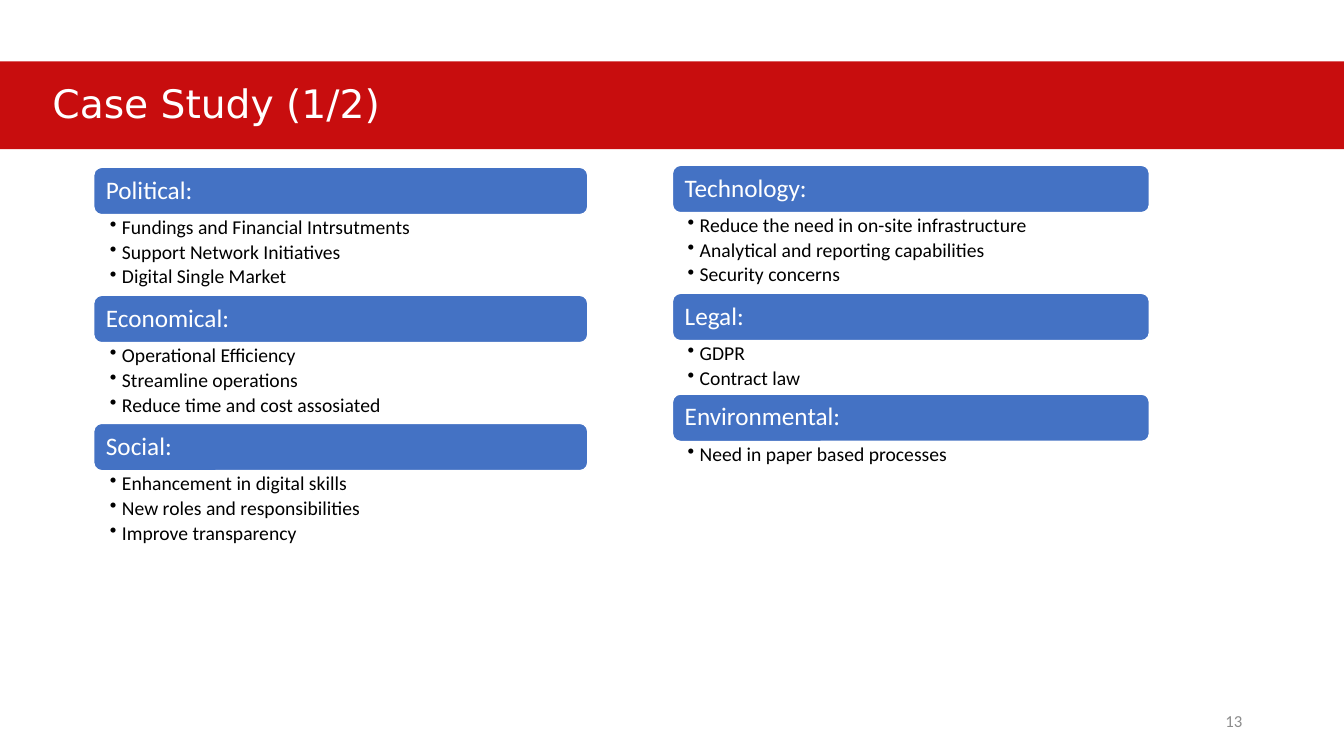
import dataclasses
import typing

import lxml.etree
import pptx
import pptx.dml.color
import pptx.enum.shapes
import pptx.enum.text
import pptx.oxml.ns
import pptx.util

SCALE = 9144
HEAD = 47
LISTS = {1: 33, 2: 53, 3: 80}
SHAPE = pptx.enum.shapes.MSO_SHAPE
ALIGN = pptx.enum.text.PP_ALIGN
ANCHOR = pptx.enum.text.MSO_ANCHOR
FIT = pptx.enum.text.MSO_AUTO_SIZE


@dataclasses.dataclass
class Topic:
    name: str
    items: list[str]


@dataclasses.dataclass
class Column:
    left: int
    top: int
    width: int
    inset: int
    topics: list[Topic]


COLUMNS = [
    Column(93, 166, 490, 16, [
        Topic("Political:", ["Fundings and Financial Intrsutments",
                             "Support Network Initiatives", "Digital Single Market"]),
        Topic("Economical:", ["Operational Efficiency", "Streamline operations",
                              "Reduce time and cost assosiated"]),
        Topic("Social:", ["Enhancement in digital skills",
                          "New roles and responsibilities", "Improve transparency"]),
    ]),
    Column(667, 164, 473, 15, [
        Topic("Technology:", ["Reduce the need in on-site infrastructure",
                              "Analytical and reporting capabilities", "Security concerns"]),
        Topic("Legal:", ["GDPR", "Contract law"]),
        Topic("Environmental:", ["Need in paper based processes"]),
    ]),
]


def px(num: int) -> pptx.util.Emu:
    return pptx.util.Emu(num * SCALE)


def tint(code: str) -> pptx.dml.color.RGBColor:
    return pptx.dml.color.RGBColor.from_string(code)


def apply(item: typing.Any, values: dict[str, typing.Any]) -> None:
    for name, value in values.items():
        setattr(item, name, value)


def style(para: typing.Any, size: int, code: str, face: str = "Calibri",
          **values: typing.Any) -> None:
    apply(para, values)
    apply(para.font, {"size": pptx.util.Pt(size), "name": face})
    para.font.color.rgb = tint(code)


def frame(shape: typing.Any, anchor: typing.Any, left: int = 10, top: int = 5) -> typing.Any:
    text = shape.text_frame
    apply(text, {"word_wrap": True, "vertical_anchor": anchor,
                 "margin_left": px(left), "margin_right": px(left),
                 "margin_top": px(top), "margin_bottom": px(top)})
    return text


def block(slide: typing.Any, kind: typing.Any, box: tuple[int, ...], code: str) -> typing.Any:
    shape = slide.shapes.add_shape(kind, *map(px, box))
    shape.shadow.inherit = False
    shape.fill.solid()
    shape.fill.fore_color.rgb = tint(code)
    shape.line.fill.background()
    return shape


def bullet(para: typing.Any) -> None:
    para.level = 1
    props = para._p.get_or_add_pPr()
    props.set("marL", str(px(12)))
    props.set("indent", str(px(-12)))
    mark = lxml.etree.SubElement(props, pptx.oxml.ns.qn("a:buChar"))
    mark.set("char", "•")


def draw_title(slide: typing.Any) -> None:
    title = slide.shapes.title
    band = block(slide, SHAPE.RECTANGLE, (0, 61, 1333, 87), "C80D0E")
    title.element.addprevious(band.element)
    apply(title, {"left": px(42), "top": px(74), "width": px(981), "height": px(57)})
    text = frame(title, ANCHOR.TOP)
    text.text = "Case Study (1/2)"
    text.auto_size = FIT.SHAPE_TO_FIT_TEXT
    style(text.paragraphs[0], 28, "FFFFFF", "DejaVu Sans", alignment=ALIGN.LEFT)


def draw_topic(slide: typing.Any, col: Column, topic: Topic, top: int) -> int:
    head = block(slide, SHAPE.ROUNDED_RECTANGLE, (col.left, top, col.width, HEAD), "4472C4")
    head.line.color.rgb = tint("FFFFFF")
    head.line.width = pptx.util.Pt(1)
    text = frame(head, ANCHOR.MIDDLE)
    text.text = topic.name
    style(text.paragraphs[0], 18, "FFFFFF", alignment=ALIGN.LEFT, line_spacing=0.9)

    high = LISTS[len(topic.items)]
    body = slide.shapes.add_textbox(px(col.left), px(top + HEAD), px(col.width), px(high))
    text = frame(body, ANCHOR.TOP, col.inset, 3)
    text.text = "\n".join(topic.items)
    for para in text.paragraphs:
        bullet(para)
        style(para, 14, "000000", line_spacing=0.9, space_after=pptx.util.Pt(2.5))
    return top + HEAD + high


def draw_page(slide: typing.Any) -> None:
    page = slide.shapes.add_textbox(px(942), px(695), px(300), px(40))
    text = frame(page, ANCHOR.MIDDLE)
    text.text = "13"
    style(text.paragraphs[0], 12, "8C8C8C", alignment=ALIGN.RIGHT)


def main() -> None:
    deck = pptx.Presentation()
    apply(deck, {"slide_width": px(1333), "slide_height": px(750)})
    slide = deck.slides.add_slide(deck.slide_layouts[5])
    draw_title(slide)
    for col in COLUMNS:
        top = col.top
        for topic in col.topics:
            top = draw_topic(slide, col, topic, top)
    draw_page(slide)
    deck.save("out.pptx")


if __name__ == "__main__":
    main()
